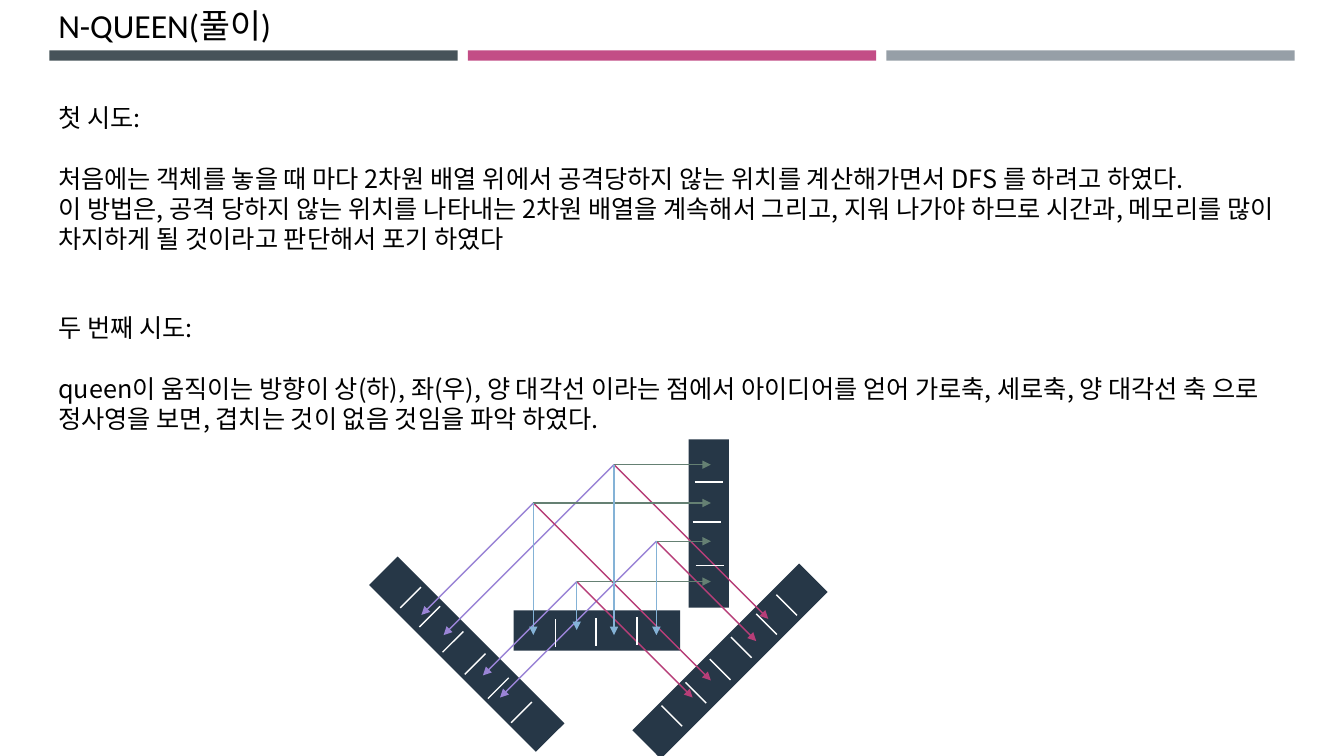
from dataclasses import dataclass

from lxml.etree import SubElement
from pptx import Presentation
from pptx.dml.color import RGBColor
from pptx.enum.dml import MSO_THEME_COLOR
from pptx.enum.shapes import MSO_CONNECTOR, MSO_SHAPE
from pptx.enum.text import MSO_AUTO_SIZE
from pptx.oxml.ns import qn
from pptx.slide import Slide
from pptx.util import Inches, Pt

# Grid: square cells, 133.3 columns by 75 rows
CELL = Inches(0.1)
COLUMNS, ROWS = 133.3, 75

COLOURS = {
    "slate": "465359", "pink": "C34D86", "grey": "969FA7",
    "navy": "263747", "white": "FFFFFF", "black": "000000",
    "falling": "9A84D6", "rising": "B73E78",
    "row": "658073", "column": "84B2D6",
}
KOREAN_FONT = "Noto Sans CJK KR"


@dataclass(frozen=True)
class Block:
    left: float
    top: float
    width: float
    height: float
    colour: str
    rotation: float = 0


@dataclass(frozen=True)
class TextBlock:
    left: float
    top: float
    width: float
    height: float
    lines: tuple[str, ...]
    font: str
    size: float
    line_points: float | None = None


@dataclass(frozen=True)
class Queen:
    column: float
    row: float
    left_reach: float
    right_reach: float
    foot: float = 63


@dataclass(frozen=True)
class Ticks:
    starts: tuple[tuple[float, float], ...]
    across: float
    down: float


# Header bars and the four axis strips
HEADER_BARS = [Block(4.9 + 41.5 * index, 5, 40.5, 1.03, colour)
               for index, colour in enumerate(("slate", "pink", "grey"))]
AXIS_STRIPS = [
    Block(70.4, 53.9, 4, 23.4, "navy", 45),
    Block(44.3, 53.2, 4, 23.4, "navy", 315),
    Block(57.2, 54.3, 4, 16.5, "navy", 90),
    Block(68.3, 43.6, 4, 16.7, "navy"),
]

TEXTS = [
    TextBlock(4.8, 0, 123.7, 5, ("N-QUEEN(풀이)",), "Calibri", 24),
    TextBlock(4.8, 9.7, 125.4, 16.2, (
        "첫 시도:",
        "처음에는 객체를 놓을 때 마다 2차원 배열 위에서 공격당하지 않는 위치를 "
        "계산해가면서 DFS 를 하려고 하였다.",
        "이 방법은, 공격 당하지 않는 위치를 나타내는 2차원 배열을 계속해서 그리고, "
        "지워 나가야 하므로 시간과, 메모리를 많이 차지하게 될 것이라고 판단해서 "
        "포기 하였다",
    ), KOREAN_FONT, 18, 21.6),
    TextBlock(4.8, 30.5, 125.4, 13.1, (
        "두 번째 시도:",
        "queen이 움직이는 방향이 상(하), 좌(우), 양 대각선 이라는 점에서 아이디어를 "
        "얻어 가로축, 세로축, 양 대각선 축 으로 정사영을 보면, 겹치는 것이 없음 "
        "것임을 파악 하였다.",
    ), KOREAN_FONT, 18, 21.6),
]

# Queens and the reach of their diagonal projections
QUEENS = [
    Queen(60.9, 46.1, 16.9, 15.3),
    Queen(52.9, 49.9, 11.1, 17.6),
    Queen(65.1, 53.7, 15.5, 9.9),
    Queen(57.2, 57.7, 9.3, 11.5, 62.5),
]
ROW_AXIS = 70.5

TICKS = [
    Ticks(((77, 59), (75, 60.9), (72.5, 63.2), (70.4, 65.4), (68, 67.7),
           (65.6, 70)), 2.05, 2.05),
    Ticks(((39.7, 60.3), (41.6, 62.2), (43.9, 64.7), (46.1, 66.9),
           (48.4, 69.3), (50.7, 71.7)), 2.05, -2.05),
    Ticks(((68.9, 47.8), (68.7, 51.8), (69, 56.1)), 2.8, 0),
    Ticks(((55.1, 61.4), (59.1, 61.3), (63.2, 61.2)), 0, 2.75),
]


def cells(*values: float) -> list[int]:
    return [round(value * CELL) for value in values]


def rgb(name: str) -> RGBColor:
    return RGBColor.from_string(COLOURS[name])


def draw_block(slide: Slide, block: Block) -> None:
    shape = slide.shapes.add_shape(
        MSO_SHAPE.RECTANGLE,
        *cells(block.left, block.top, block.width, block.height))
    shape.shadow.inherit = False
    shape.rotation = block.rotation
    shape.fill.solid()
    shape.fill.fore_color.rgb = rgb(block.colour)
    shape.line.fill.background()


def draw_line(slide: Slide, start: tuple[float, float],
              end: tuple[float, float], colour: str,
              arrow: bool = False) -> None:
    connector = slide.shapes.add_connector(
        MSO_CONNECTOR.STRAIGHT, *cells(*start, *end))
    connector.line.color.rgb = rgb(colour)
    connector.line.width = Pt(1)
    if arrow:
        SubElement(connector.line._get_or_add_ln(), qn("a:tailEnd"),
                   type="triangle")
    SubElement(connector._element.spPr, qn("a:effectLst"))


def draw_text(slide: Slide, block: TextBlock) -> None:
    shape = slide.shapes.add_textbox(
        *cells(block.left, block.top, block.width, block.height))
    frame = shape.text_frame
    frame.word_wrap = True
    frame.auto_size = MSO_AUTO_SIZE.SHAPE_TO_FIT_TEXT
    font_format = {"name": block.font, "size": Pt(block.size)}
    for index, line in enumerate(block.lines):
        paragraph = frame.add_paragraph() if index else frame.paragraphs[0]
        if block.line_points:
            paragraph.line_spacing = Pt(block.line_points)
            if index == 1:  # one open line below the heading
                paragraph.space_before = Pt(block.line_points)
        run = paragraph.add_run()
        run.text = line
        for attribute, value in font_format.items():
            setattr(run.font, attribute, value)
        run.font.color.rgb = rgb("black")
        SubElement(run.font._element, qn("a:ea"), typeface=KOREAN_FONT)


def draw_projections(slide: Slide) -> None:
    for colour in ("falling", "rising", "row", "column"):
        for queen in QUEENS:
            column, row = queen.column, queen.row
            ends = {
                "falling": (column - queen.left_reach, row + queen.left_reach),
                "rising": (column + queen.right_reach, row + queen.right_reach),
                "row": (ROW_AXIS, row),
                "column": (column, queen.foot),
            }
            draw_line(slide, (column, row), ends[colour], colour, arrow=True)


def main() -> None:
    presentation = Presentation()
    presentation.slide_width, presentation.slide_height = cells(COLUMNS, ROWS)
    slide = presentation.slides.add_slide(presentation.slide_layouts[6])
    slide.background.fill.solid()
    slide.background.fill.fore_color.theme_color = MSO_THEME_COLOR.BACKGROUND_1

    for bar in HEADER_BARS:
        draw_block(slide, bar)
    for text in TEXTS:
        draw_text(slide, text)
    for strip in AXIS_STRIPS:
        draw_block(slide, strip)
    draw_projections(slide)
    for ticks in TICKS:
        for column, row in ticks.starts:
            draw_line(slide, (column, row),
                      (column + ticks.across, row + ticks.down), "white")
    presentation.save("out.pptx")


if __name__ == "__main__":
    main()
